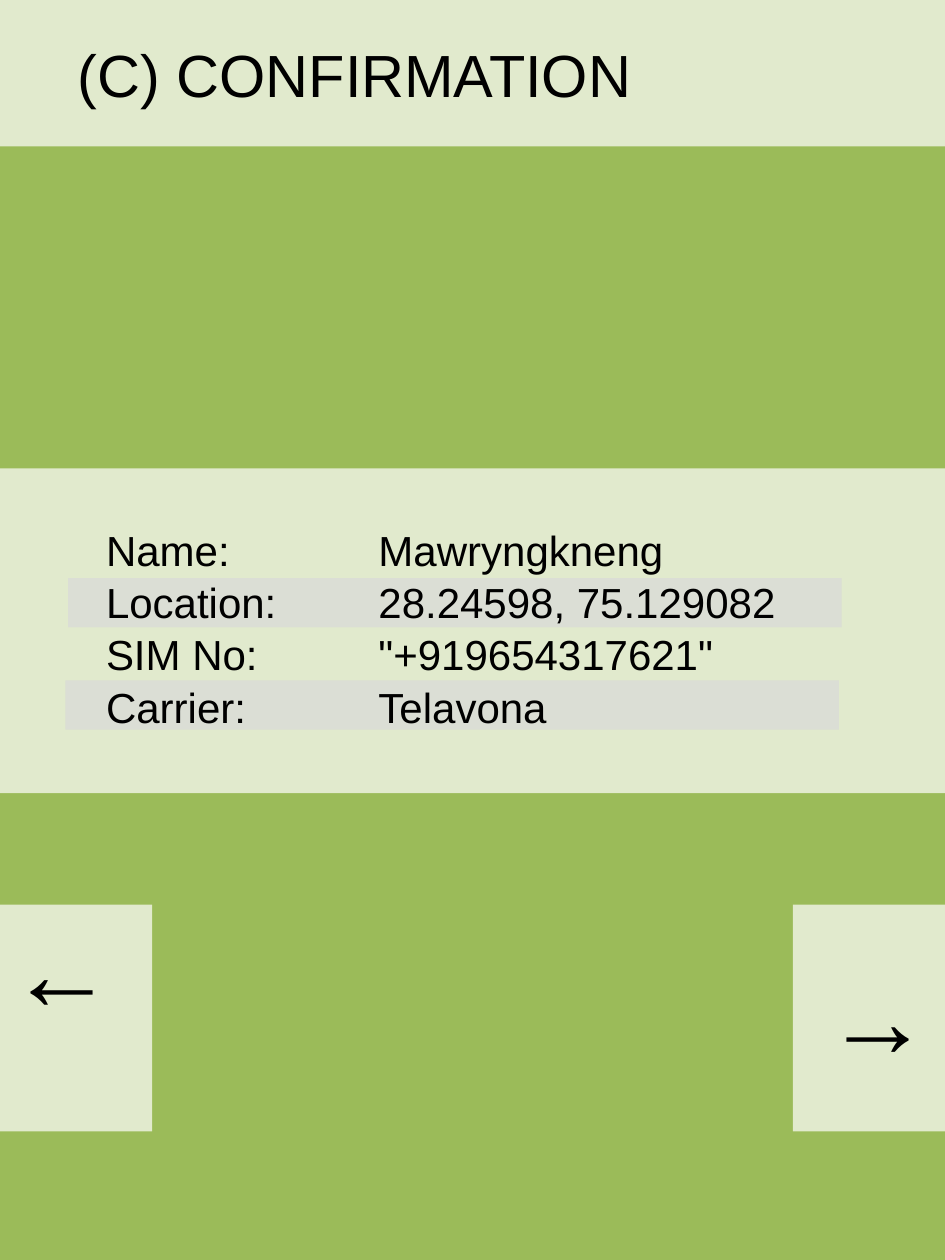
from lxml import etree
from pptx import Presentation
from pptx.dml.color import RGBColor
from pptx.enum.shapes import MSO_SHAPE
from pptx.enum.text import MSO_ANCHOR, MSO_AUTO_SIZE
from pptx.oxml.ns import qn
from pptx.util import Pt

RECTANGLE = MSO_SHAPE.RECTANGLE
BOTTOM = MSO_ANCHOR.BOTTOM
GROW = MSO_AUTO_SIZE.SHAPE_TO_FIT_TEXT

WIDTH, HEIGHT = 540, 720
FONT = "Arial"
PLAIN_TABLE_STYLE = "{2D5ABB26-0587-4C30-8999-92F81FD0307C}"
COLORS = {
    "background": "9BBB59",
    "panel": "FFFFFF",
    "stripe": "D9D9D9",
    "text": "000000",
}
DETAILS = [
    ("Name:", "Mawryngkneng"),
    ("Location:", "28.24598, 75.129082"),
    ("SIM No:", '"+919654317621"'),
    ("Carrier:", "Telavona"),
]


def color(name):
    return RGBColor.from_string(COLORS[name])


def add_panel(slide, left, top, width, height, fill="panel"):
    """Add a borderless rectangle with 70 % opacity."""
    shape = slide.shapes.add_shape(RECTANGLE, Pt(left), Pt(top), Pt(width), Pt(height))
    shape.shadow.inherit = False
    shape.line.fill.background()
    shape.fill.solid()
    shape.fill.fore_color.rgb = color(fill)
    solid_color = shape.fill._xPr.find(qn("a:solidFill"))[0]
    etree.SubElement(solid_color, qn("a:alpha"), val="70000")


def write(text_frame, text, size):
    paragraph = text_frame.paragraphs[0]
    paragraph.text = text
    paragraph.font.name = FONT
    paragraph.font.size = Pt(size)
    paragraph.font.color.rgb = color("text")


def add_text(slide, text, left, top, width, height, size, rotation=0):
    box = slide.shapes.add_textbox(Pt(left), Pt(top), Pt(width), Pt(height))
    box.rotation = rotation
    box.text_frame.word_wrap = True
    box.text_frame.auto_size = GROW
    write(box.text_frame, text, size)


def add_details_table(slide, left, top, column_widths, row_height):
    frame = slide.shapes.add_table(
        len(DETAILS), len(column_widths), Pt(left), Pt(top),
        Pt(sum(column_widths)), Pt(row_height * len(DETAILS)))
    table = frame.table
    table.first_row = False
    table.horz_banding = False
    table._tbl.tblPr.find(qn("a:tableStyleId")).text = PLAIN_TABLE_STYLE
    for column, width in zip(table.columns, column_widths):
        column.width = Pt(width)
    for row, texts in zip(table.rows, DETAILS):
        for cell, text in zip(row.cells, texts):
            cell.fill.background()
            cell.vertical_anchor = BOTTOM
            cell.margin_left = cell.margin_right = cell.margin_top = Pt(0.7)
            cell.margin_bottom = 0
            write(cell.text_frame, text, 24)


def add_navigation(slide):
    panel_width = 87
    for left in (0, WIDTH - panel_width):
        add_panel(slide, left, 517, panel_width, 129.5)
    for left, rotation in ((464.5, 0), (10.8, 180)):
        add_text(slide, "→", left, 540.7, 62, 80, 60, rotation)


def main():
    presentation = Presentation()
    presentation.slide_width = Pt(WIDTH)
    presentation.slide_height = Pt(HEIGHT)
    slide = presentation.slides.add_slide(presentation.slide_layouts[6])
    slide.background.fill.solid()
    slide.background.fill.fore_color.rgb = color("background")

    add_panel(slide, 0, 0, WIDTH, 83.7)
    add_text(slide, "(C) CONFIRMATION", 37.4, 18, 468, 48.5, 34)

    add_panel(slide, 0, 267.6, WIDTH, 185.7)
    for left, top in ((38.9, 330.3), (37.4, 388.8)):
        add_panel(slide, left, top, 442, 28.2, "stripe")
    add_details_table(slide, 59.9, 298.8, (155.7, 263.8), 29.9)

    add_navigation(slide)
    presentation.save("out.pptx")


if __name__ == "__main__":
    main()
